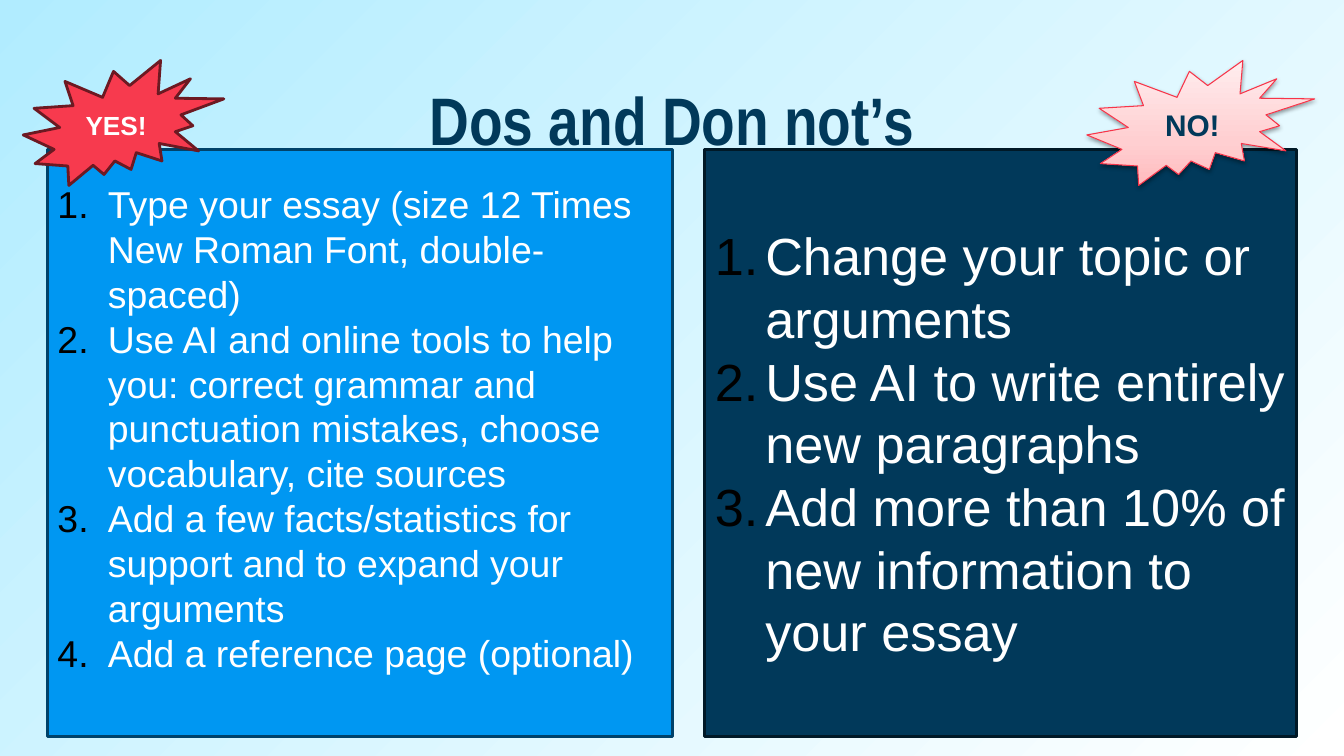
from lxml import etree
from pptx import Presentation
from pptx import util as u
from pptx.dml.color import RGBColor
from pptx.enum import shapes, text
from pptx.oxml.ns import qn

NAVY, WHITE = "01395A", "FFFFFF"

DOS = [
    "Type your essay (size 12 Times New Roman Font, double-spaced)",
    "Use AI and online tools to help you: correct grammar and punctuation "
    "mistakes, choose vocabulary, cite sources",
    "Add a few facts/statistics for support and to expand your arguments",
    "Add a reference page (optional)",
]
DONTS = [
    "Change your topic or arguments",
    "Use AI to write entirely new paragraphs",
    "Add more than 10% of new information to your essay",
]


def rgb(value):
    return RGBColor.from_string(value)


def place(part, box):
    part.left, part.top, part.width, part.height = map(u.Inches, box)


def set_font(paragraph, name, size, color, bold=False):
    font = paragraph.font
    font.name, font.size, font.bold = name, u.Pt(size), bold
    font.color.rgb = rgb(color)


def outline(part, color, width):
    part.line.color.rgb = rgb(color)
    part.line.width = u.Pt(width)


def fill_gradient(fill, owner, stops, angle):
    """Stops are (percent, colour); the angle runs counter-clockwise."""
    fill.gradient()
    fill.gradient_angle = angle
    stop_list = owner.find(".//" + qn("a:gsLst"))
    for stop in list(stop_list):
        stop_list.remove(stop)
    for percent, color in stops:
        stop = etree.SubElement(stop_list, qn("a:gs"), pos=str(percent * 1000))
        etree.SubElement(stop, qn("a:srgbClr"), val=color)


def number_paragraph(paragraph):
    properties = paragraph._p.get_or_add_pPr()
    properties.set("marL", str(u.Inches(0.5)))
    properties.set("indent", str(u.Inches(-0.5)))
    bullet_color = etree.SubElement(properties, qn("a:buClr"))
    etree.SubElement(bullet_color, qn("a:srgbClr"), val="000000")
    etree.SubElement(properties, qn("a:buFont"), typeface="Arial")
    etree.SubElement(properties, qn("a:buAutoNum"), type="arabicPeriod")


def add_heading(title, box, wording):
    place(title, box)
    frame = title.text_frame
    frame.text = wording
    frame.auto_size = text.MSO_AUTO_SIZE.NONE
    frame.vertical_anchor = text.MSO_ANCHOR.TOP
    frame.margin_top = u.Inches(0.13)
    frame.paragraphs[0].alignment = text.PP_ALIGN.CENTER
    set_font(frame.paragraphs[0], "Arial Narrow", 48, NAVY, bold=True)


def add_rules_panel(panel, box, rules, size, fill, line, bottom=0.05):
    place(panel, box)
    panel.fill.solid()
    panel.fill.fore_color.rgb = rgb(fill)
    outline(panel, line, 2)
    frame = panel.text_frame
    frame.text = "\n".join(rules)
    frame.auto_size = text.MSO_AUTO_SIZE.NONE
    frame.vertical_anchor = text.MSO_ANCHOR.MIDDLE
    frame.margin_bottom = u.Inches(bottom)
    for rule in frame.paragraphs:
        number_paragraph(rule)
        rule.alignment = text.PP_ALIGN.LEFT
        rule.space_before = u.Pt(0)
        set_font(rule, "Arial", size, WHITE)


def add_burst(slide, box, wording, size, color, line, width):
    burst = slide.shapes.add_shape(shapes.MSO_SHAPE.EXPLOSION2, *map(u.Inches, box))
    burst.shadow.inherit = False
    outline(burst, line, width)
    frame = burst.text_frame
    frame.text = wording
    frame.vertical_anchor = text.MSO_ANCHOR.MIDDLE
    frame.paragraphs[0].alignment = text.PP_ALIGN.CENTER
    set_font(frame.paragraphs[0], "Arial", size, color, bold=True)
    return burst


def add_soft_shadow(part):
    effects = part._element.spPr.find(qn("a:effectLst"))
    shadow = etree.SubElement(
        effects, qn("a:outerShdw"), blurRad=str(u.Pt(3.1)),
        dist=str(u.Pt(1.6)), dir="5400000", rotWithShape="0")
    color = etree.SubElement(shadow, qn("a:srgbClr"), val="000000")
    etree.SubElement(color, qn("a:alpha"), val="38000")


def build_comparison(prs):
    slide = prs.slides.add_slide(prs.slide_layouts[3])
    fill_gradient(slide.background.fill, slide._element,
                  [(0, "B1ECFF"), (100, WHITE)], 315)
    heading, dos, donts = list(slide.placeholders)[:3]
    add_heading(heading, (1.04, 0.65, 11.25, 0.84), "Dos and Don not’s")

    # Rules, side by side
    panel_top, panel_height = 1.48, 5.83
    add_rules_panel(dos, (0.47, panel_top, 6.2, panel_height), DOS, 26.7,
                    "0097F2", "00426A", bottom=0.35)
    add_rules_panel(donts, (6.99, panel_top, 5.87, panel_height), DONTS, 37.3,
                    NAVY, "001927")

    # Bursts over the outer corners
    burst_top, burst_height = 0.6, 1.24
    yes = add_burst(slide, (0.23, burst_top, 1.99, burst_height),
                    "YES!", 18.7, WHITE, "6C1922", 2)
    yes.fill.solid()
    yes.fill.fore_color.rgb = rgb("F73A4E")
    no = add_burst(slide, (10.78, burst_top, 2.26, burst_height),
                   "NO!", 21.3, NAVY, "F63449", 0.75)
    fill_gradient(no.fill, no._element,
                  [(0, "FFBBBE"), (35, "FFCFD1"), (100, "FFEDEE")], 90)
    add_soft_shadow(no)


def main():
    prs = Presentation()
    prs.slide_width, prs.slide_height = u.Inches(13.33), u.Inches(7.5)
    build_comparison(prs)
    prs.save("out.pptx")


if __name__ == "__main__":
    main()
